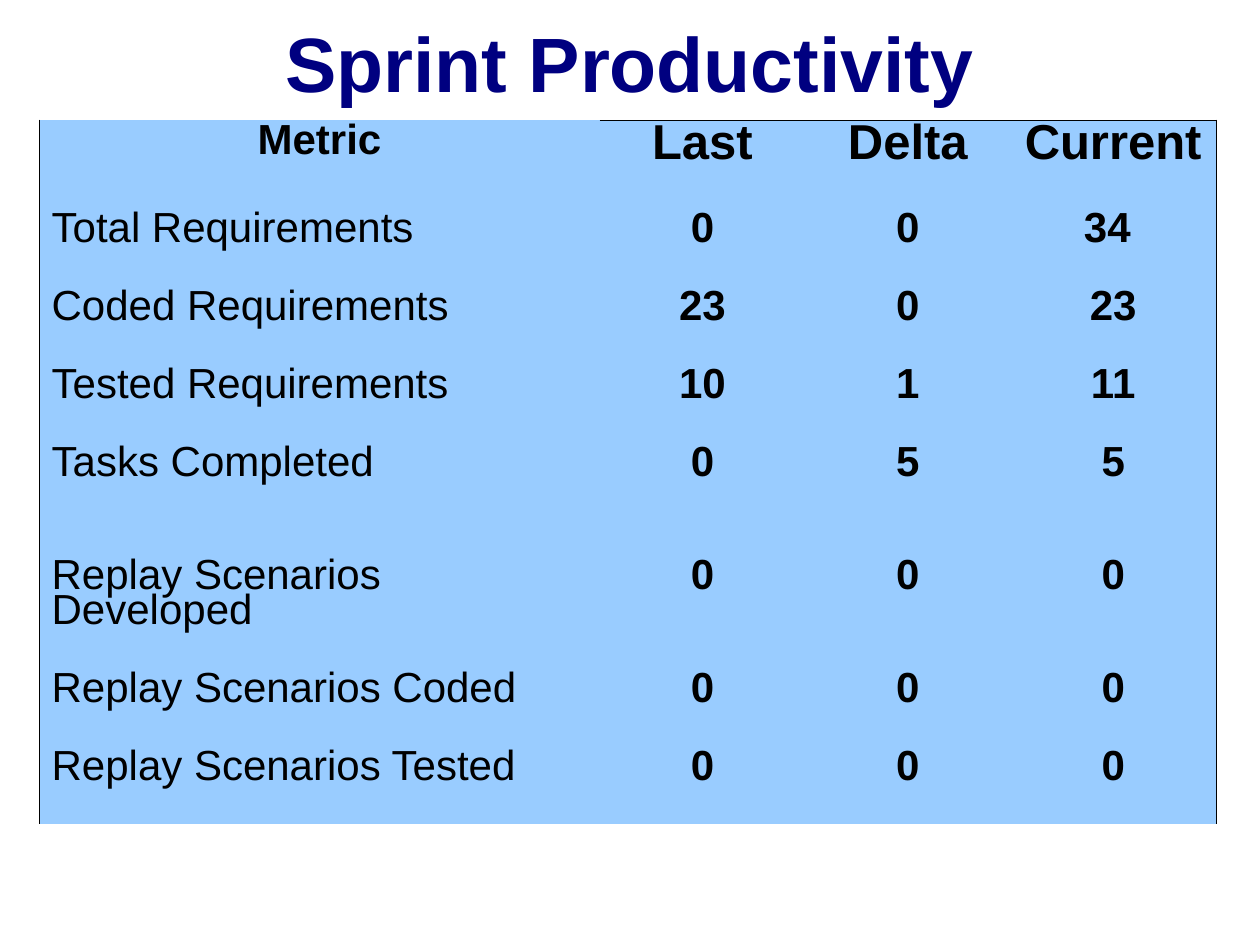
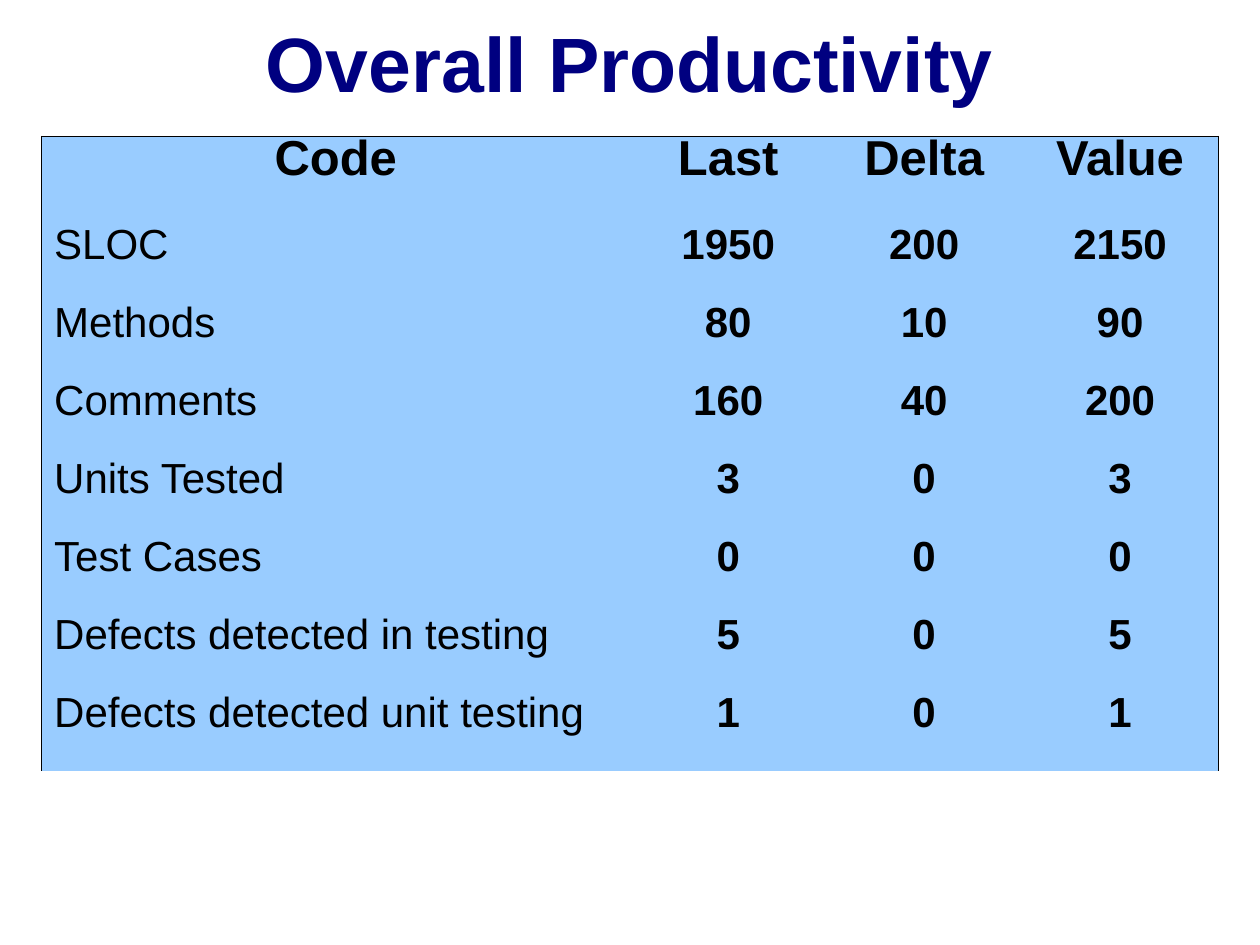
from dataclasses import dataclass
from lxml.etree import SubElement as Sub
from pptx import Presentation
from pptx.dml.color import RGBColor as RGB
from pptx.enum.text import MSO_ANCHOR as Anchor, MSO_AUTO_SIZE as Fit, PP_ALIGN as Align
from pptx.oxml.ns import qn
from pptx.util import Inches, Pt

SPRINT = {
    "title": "Sprint Productivity",
    "rows": [
        ("Metric", "Last", "Delta", "Current"),
        ("Total Requirements", "0", "0", "34 "),
        ("Coded Requirements", "23", "0", "23"),
        ("Tested Requirements", "10", "1", "11"),
        ("Tasks Completed", "0", "5", "5"),
        ("Replay Scenarios Developed", "0", "0", "0"),
        ("Replay Scenarios Coded", "0", "0", "0"),
        ("Replay Scenarios Tested", "0", "0", "0"),
    ],
    "at": (0.31, 0.95),
    "cols": (4.45, 1.63, 1.63, 1.63),
    "tall": {4: 0.89, 5: 0.9},
    "lead": 24,
    "ruled": (1, 2, 3),
}
OVERALL = {
    "title": "Overall Productivity",
    "rows": [
        ("Code", "Last", "Delta", "Value"),
        ("SLOC", "1950", "200", "2150"),
        ("Methods", "80", "10", "90"),
        ("Comments", "160", "40", "200"),
        ("Units Tested", "3", "0", "3"),
        ("Test Cases", "0", "0", "0"),
        ("Defects detected in testing", "5", "0", "5"),
        ("Defects detected unit testing", "1", "0", "1"),
    ],
    "at": (0.33, 1.08),
    "cols": (4.67, 1.56, 1.55, 1.56),
    "tall": {},
    "lead": 28,
    "ruled": (0, 1, 2, 3),
}


@dataclass(frozen=True)
class Theme:
    font: str = "Arial"
    navy: str = "000080"
    ink: str = "000000"
    sky: str = "99CCFF"
    title: int = 44
    head: int = 28
    body: int = 24
    leading: float = 0.76
    rule: float = 0.06
    head_row: float = 0.7
    body_row: float = 0.62


THEME = Theme()


def write(para, text, size, color, bold, align):
    para.alignment = align
    run = para.add_run()
    run.text = text
    font = run.font
    font.name, font.size, font.bold = THEME.font, Pt(size), bold
    font.color.rgb = RGB.from_string(color)


def add_title(slide, text):
    title = slide.shapes.title
    title.left, title.top = Inches(0.75), Inches(0.07)
    title.width, title.height = Inches(8.5), Inches(0.84)
    frame = title.text_frame
    frame.word_wrap, frame.auto_size = True, Fit.NONE
    frame.vertical_anchor = Anchor.MIDDLE
    write(frame.paragraphs[0], text, THEME.title, THEME.navy, True, Align.CENTER)


def set_edges(cell, drawn):
    props = cell._tc.get_or_add_tcPr()
    for side in "LRTB":
        line = Sub(props, qn(f"a:ln{side}"), w=str(int(Pt(THEME.rule))))
        if side in drawn:
            fill = Sub(line, qn("a:solidFill"))
            Sub(fill, qn("a:srgbClr"), val=THEME.ink)
        else:
            Sub(line, qn("a:noFill"))


def add_grid(slide, data):
    rows, cols = data["rows"], data["cols"]
    highs = [data["tall"].get(r, THEME.body_row if r else THEME.head_row)
             for r in range(len(rows))]
    left, top = data["at"]
    grid = slide.shapes.add_table(
        len(rows), len(cols), Inches(left), Inches(top),
        Inches(sum(cols)), Inches(sum(highs))).table
    grid.first_row = grid.horz_banding = False
    for col, wide in zip(grid.columns, cols):
        col.width = Inches(wide)
    for row, high in zip(grid.rows, highs):
        row.height = Inches(high)

    last = len(cols) - 1
    for r, row in enumerate(rows):
        for c, text in enumerate(row):
            cell = grid.cell(r, c)
            edges = {"L": c == 0, "R": c == last,
                     "T": r == 0 and c in data["ruled"]}
            set_edges(cell, [side for side, on in edges.items() if on])
            cell.fill.solid()
            cell.fill.fore_color.rgb = RGB.from_string(THEME.sky)
            cell.vertical_anchor = Anchor.TOP
            size = THEME.body if r else THEME.head if c else data["lead"]
            label = r > 0 and c == 0
            para = cell.text_frame.paragraphs[0]
            para.line_spacing = THEME.leading
            write(para, text, size, THEME.ink, not label,
                  Align.LEFT if label else Align.CENTER)


def main():
    deck = Presentation()
    deck.slide_width, deck.slide_height = Inches(10), Inches(7.5)
    for data in (SPRINT, OVERALL):
        slide = deck.slides.add_slide(deck.slide_layouts[5])
        add_title(slide, data["title"])
        add_grid(slide, data)
    deck.save("out.pptx")


if __name__ == "__main__":
    main()
